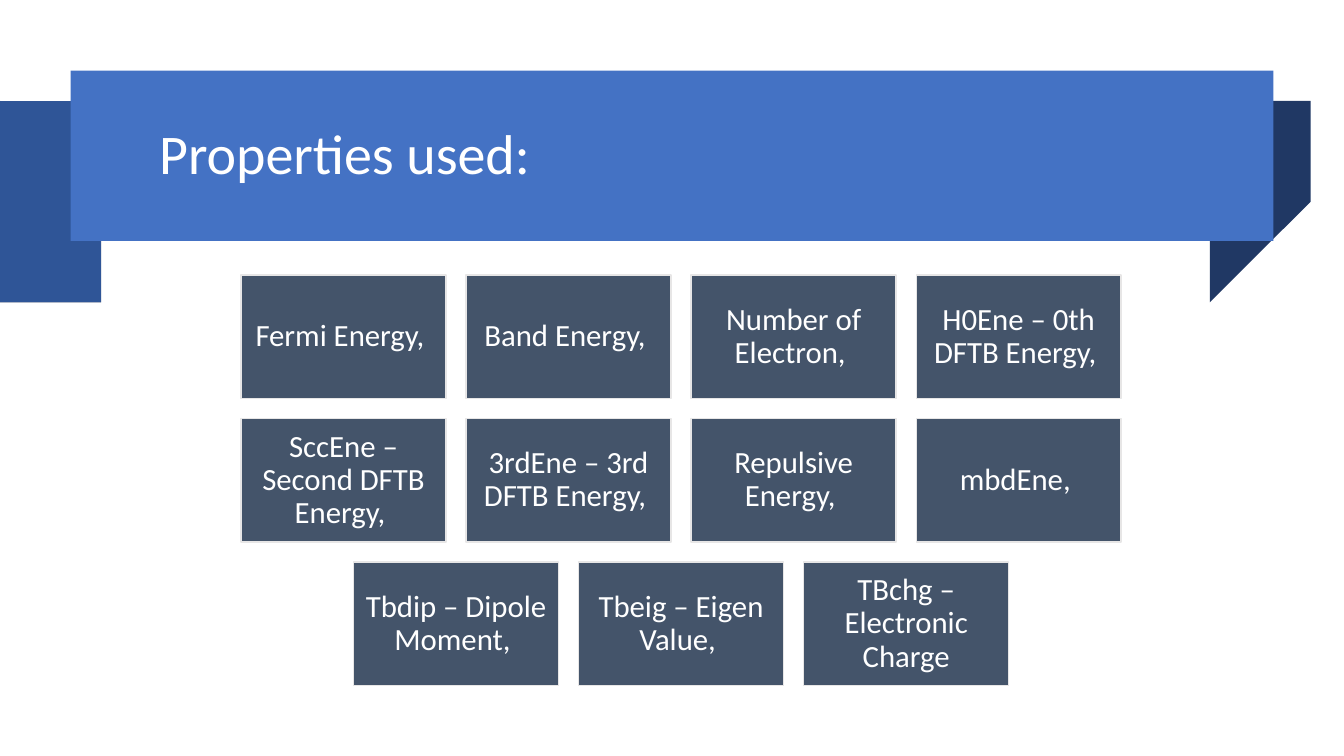
from dataclasses import dataclass

from pptx import Presentation
from pptx import util as u
from pptx.dml.color import RGBColor
from pptx.enum import shapes, text


@dataclass(frozen=True)
class Theme:
    font: str = "Calibri"
    white: str = "FFFFFF"
    band: str = "4472C4"
    fold: str = "2F5597"
    shade: str = "203864"
    tile: str = "44546A"
    edge: str = "E7E6E6"
    head: int = 40
    body: int = 22


THEME = Theme()
TITLE = "Properties used: "
ROWS = [
    ["Fermi Energy, ", "Band Energy, ", "Number of Electron, ",
     "H0Ene – 0th DFTB Energy, "],
    ["SccEne – Second DFTB Energy, ", "3rdEne – 3rd DFTB Energy, ",
     "Repulsive Energy, ", "mbdEne, "],
    ["Tbdip – Dipole Moment, ", "Tbeig – Eigen Value, ",
     "TBchg – Electronic Charge"],
]


def paint(shape, fill, line=None):
    shape.shadow.inherit = False
    shape.fill.solid()
    shape.fill.fore_color.rgb = RGBColor.from_string(fill)
    if line:
        shape.line.color.rgb = RGBColor.from_string(line)
        shape.line.width = u.Pt(1)
    else:
        shape.line.fill.background()


def add_rect(slide, left, top, width, height, fill, line=None):
    rect = slide.shapes.add_shape(
        shapes.MSO_SHAPE.RECTANGLE, u.Inches(left), u.Inches(top),
        u.Inches(width), u.Inches(height))
    paint(rect, fill, line)
    return rect


def write(shape, words, size, align):
    frame = shape.text_frame
    frame.text = words
    frame.word_wrap = True
    frame.vertical_anchor = text.MSO_ANCHOR.MIDDLE
    para = frame.paragraphs[0]
    para.alignment = align
    para.line_spacing = 0.9
    font = para.runs[0].font
    font.name = THEME.font
    font.size = u.Pt(size)
    font.color.rgb = RGBColor.from_string(THEME.white)


def add_fold(slide, start, end, depth, fill):
    """Draw a slanted strip whose top edge runs from start to end."""
    (x1, y1), (x2, y2) = start, end
    pen = slide.shapes.build_freeform(x1, y1, scale=u.Inches(1))
    pen.add_line_segments([(x2, y2), (x2, y2 + depth), (x1, y1 + depth)])
    paint(pen.convert_to_shape(), fill)


def add_banner(slide, left, top, width, height):
    right = left + width
    folds = [
        ((right, 0), (right - 0.36, 0.21), height, THEME.shade),
        ((left + 0.52, 1.05), (left - 0.25, 0.42), 1.66, THEME.shade),
        ((left + 0.19, 0.22), (left - 0.25, 0.42), 1.66, THEME.fold),
        ((left + 0.19, 0.19), (left + 0.01, 0), height, THEME.shade),
    ]
    for (x1, y1), (x2, y2), depth, fill in folds:
        add_fold(slide, (x1, top + y1), (x2, top + y2), depth, fill)
    add_rect(slide, left, top, width, height, THEME.band)
    title = slide.shapes.add_textbox(
        u.Inches(left + 0.78), u.Inches(top + 0.13),
        u.Inches(width - 0.99), u.Inches(height - 0.24))
    write(title, TITLE, THEME.head, text.PP_ALIGN.LEFT)


def add_tiles(slide, left, top, width, height, gap=0.2):
    """Lay the rows out in the box, each one centred."""
    most = max(len(row) for row in ROWS)
    wide = (width - gap * (most - 1)) / most
    tall = (height - gap * (len(ROWS) - 1)) / len(ROWS)
    for i, row in enumerate(ROWS):
        start = left + (most - len(row)) * (wide + gap) / 2
        for j, words in enumerate(row):
            tile = add_rect(slide, start + j * (wide + gap),
                            top + i * (tall + gap), wide, tall,
                            THEME.tile, THEME.edge)
            frame = tile.text_frame
            frame.margin_left = frame.margin_right = u.Inches(0.09)
            frame.margin_top = frame.margin_bottom = u.Inches(0.09)
            write(tile, words, THEME.body, text.PP_ALIGN.CENTER)


def main():
    deck = Presentation()
    deck.slide_width = u.Inches(13.33)
    deck.slide_height = u.Inches(7.5)
    slide = deck.slides.add_slide(deck.slide_layouts[6])
    add_banner(slide, 0.7, 0.7, 11.93, 1.69)
    add_tiles(slide, 2.39, 2.73, 8.73, 4.07)
    deck.save("out.pptx")


if __name__ == "__main__":
    main()
